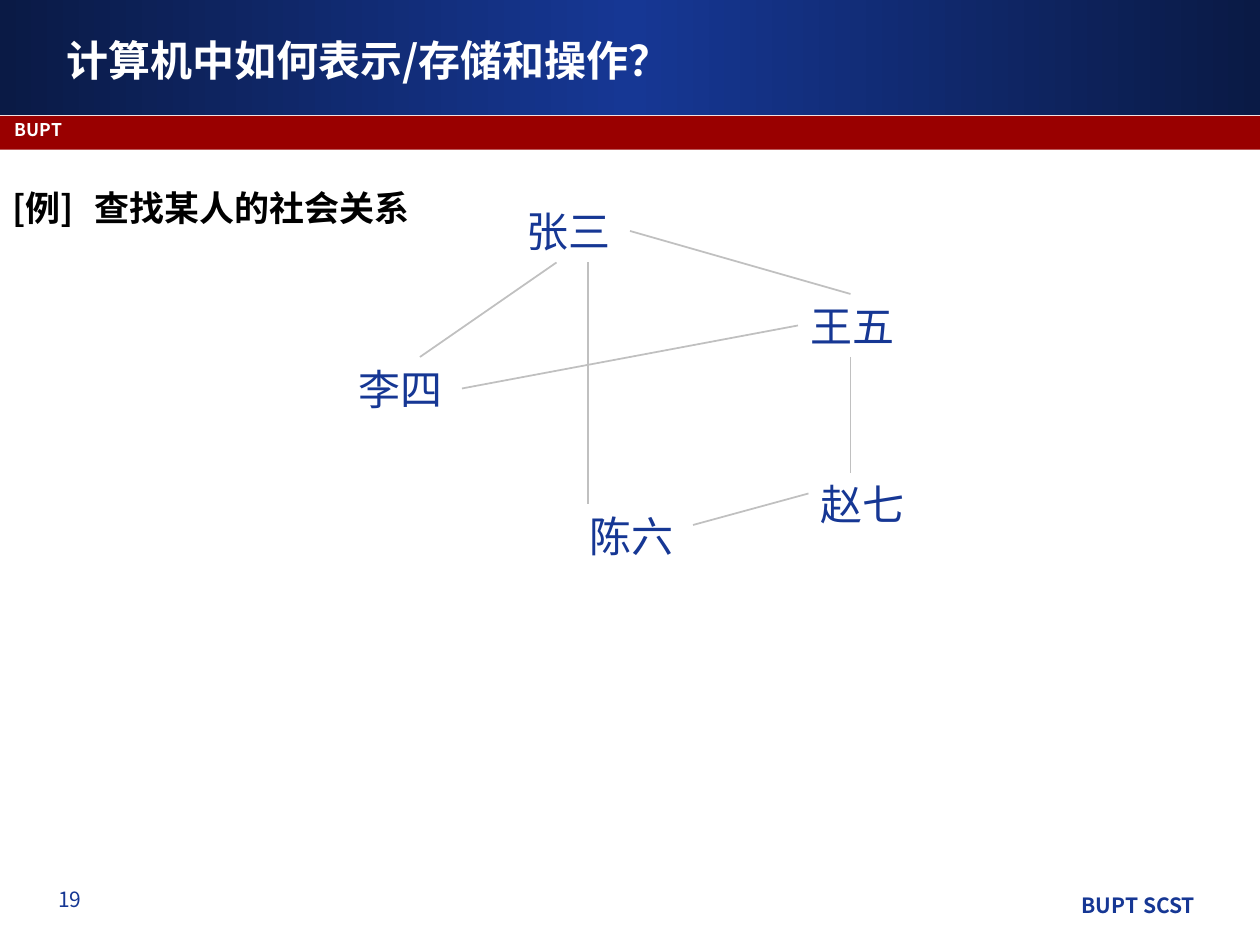
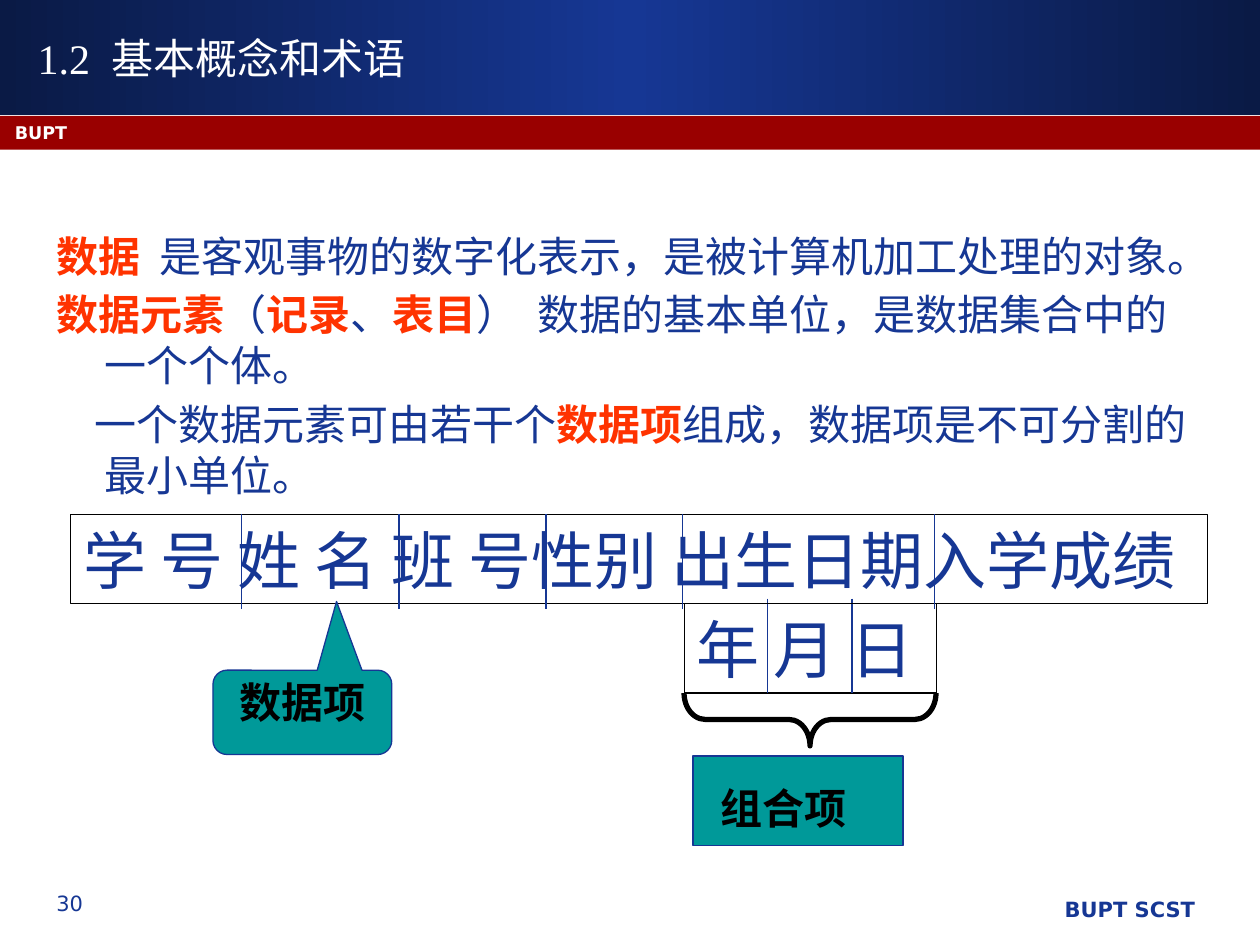
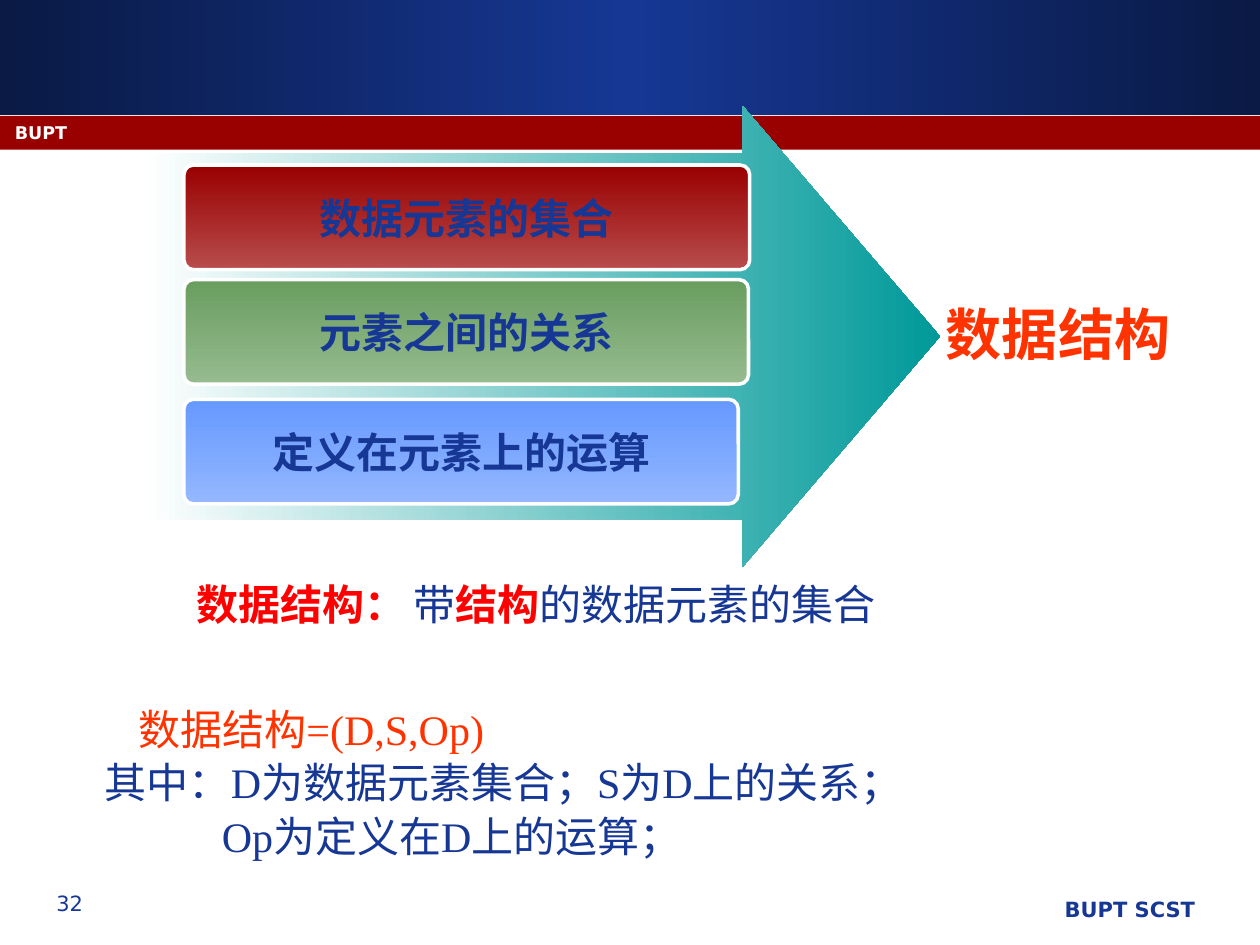
from dataclasses import dataclass

from lxml import etree
from pptx import Presentation
from pptx.dml.color import RGBColor
from pptx.enum.shapes import MSO_CONNECTOR, MSO_SHAPE
from pptx.enum.text import MSO_ANCHOR, PP_ALIGN
from pptx.oxml.ns import qn
from pptx.util import Pt

RECTANGLE = MSO_SHAPE.RECTANGLE
ROUNDED = MSO_SHAPE.ROUNDED_RECTANGLE
CALLOUT = MSO_SHAPE.ROUNDED_RECTANGULAR_CALLOUT
BRACE = MSO_SHAPE.LEFT_BRACE
ARROW = MSO_SHAPE.RIGHT_ARROW
STRAIGHT = MSO_CONNECTOR.STRAIGHT
TOP, MIDDLE = MSO_ANCHOR.TOP, MSO_ANCHOR.MIDDLE
LEFT, CENTER, RIGHT = PP_ALIGN.LEFT, PP_ALIGN.CENTER, PP_ALIGN.RIGHT


@dataclass(frozen=True)
class Theme:
    navy: str = "163794"
    dark_navy: str = "0A1A45"
    band_red: str = "990000"
    teal: str = "009999"
    orange: str = "FF3300"
    red: str = "FF0000"
    white: str = "FFFFFF"
    black: str = "000000"
    gray: str = "C0C0C0"
    sans: str = "Noto Sans CJK SC"
    serif: str = "Times New Roman"
    footer: str = "DejaVu Sans"
    body: int = 24
    heading: int = 20
    record: int = 36
    result: int = 32
    small: int = 12
    tiny: int = 10


THEME = Theme()


@dataclass(frozen=True)
class Span:
    text: str
    color: str = THEME.navy
    bold: bool = False
    spacing: float = 0


def key(text, color=THEME.orange):
    return Span(text, color, True)


def gap(width):
    return Span(" ", spacing=width)


def set_font(font, size, name):
    font.size = Pt(size)
    font.name = name
    etree.SubElement(font._element, qn("a:ea"), typeface=THEME.sans)


def set_color(font, color, bold):
    font.color.rgb = RGBColor.from_string(color)
    font.bold = bold


def add_spans(para, spans):
    for part in spans:
        span = para.add_run()
        span.text = part.text
        set_color(span.font, part.color, part.bold)
        if part.spacing:
            span.font._element.set("spc", str(round(part.spacing * 100)))


def style_para(para, size, font, align=LEFT, line=None, before=None, indent=0, first=0):
    properties = para._p.get_or_add_pPr()
    properties.set("marL", str(Pt(indent)))
    properties.set("indent", str(Pt(first)))
    para.alignment = align
    if line is not None:
        para.line_spacing = line
    if before is not None:
        para.space_before = Pt(before)
    set_font(para.font, size, font)


def prepare_frame(holder, anchor, top=3.6, left=7.2):
    frame = holder.text_frame
    frame.word_wrap = True
    frame.vertical_anchor = anchor
    frame.margin_top, frame.margin_bottom = Pt(top), Pt(3.6)
    frame.margin_left, frame.margin_right = Pt(left), Pt(7.2)
    return frame


def write(holder, content, size=THEME.body, font=THEME.sans, color=THEME.navy,
          bold=False, align=LEFT, anchor=MIDDLE, line=None, top=3.6, left=7.2):
    para = prepare_frame(holder, anchor, top, left).paragraphs[0]
    style_para(para, size, font, align, line)
    if isinstance(content, str):
        set_color(para.font, color, bold)
        para.add_run().text = content
    else:
        add_spans(para, content)


def add_box(page, box):
    return page.shapes.add_textbox(*map(Pt, box))


def add_figure(page, kind, box, fill=None, line=None, width=0.75, adjust=()):
    figure = page.shapes.add_shape(kind, *map(Pt, box))
    figure.shadow.inherit = False
    for index, value in enumerate(adjust):
        figure.adjustments[index] = value
    if fill:
        figure.fill.solid()
        figure.fill.fore_color.rgb = RGBColor.from_string(fill)
    else:
        figure.fill.background()
    if line:
        figure.line.color.rgb = RGBColor.from_string(line)
        figure.line.width = Pt(width)
    else:
        figure.line.fill.background()
    return figure


def set_gradient(figure, colors, angle=0):
    figure.fill.gradient()
    figure.fill.gradient_angle = angle
    stops = figure._element.spPr.find(".//" + qn("a:gsLst"))
    stops.clear()
    for index, color in enumerate(colors):
        position = 100000 * index // (len(colors) - 1)
        stop = etree.SubElement(stops, qn("a:gs"), pos=str(position))
        etree.SubElement(stop, qn("a:srgbClr"), val=color)


def add_line(page, start, end, color, width=0.75):
    line = page.shapes.add_connector(STRAIGHT, *map(Pt, (*start, *end)))
    line.line.color.rgb = RGBColor.from_string(color)
    line.line.width = Pt(width)
    etree.SubElement(line._element.spPr, qn("a:effectLst"))


def add_page(deck, number, font=THEME.footer, line=None):
    page = deck.slides.add_slide(deck.slide_layouts[6])
    band = add_figure(page, RECTANGLE, (0, 0, 720, 65.5), THEME.navy)
    set_gradient(band, (THEME.dark_navy, THEME.navy, THEME.dark_navy))
    add_figure(page, RECTANGLE, (0, 66.2, 720, 19.4), THEME.band_red)
    labels = (
        ((303, 509, 387, 25), "BUPT SCST", THEME.small, THEME.navy, True, RIGHT),
        ((8.6, 505.4, 62.6, 25), number, THEME.small, THEME.navy, False, CENTER),
        ((1.4, 66.2, 666, 18), "BUPT", THEME.tiny, THEME.white, True, LEFT),
    )
    for box, text, size, color, bold, align in labels:
        write(add_box(page, box), text, size, font, color, bold, align, TOP, line)
    return page


def draw_people(page, box):
    left, top = box
    people = (("张三", 96, 0), ("李四", 0, 90), ("王五", 258, 54),
              ("陈六", 132, 174), ("赵七", 264, 156))
    links = (((120, 36), (42, 90)), ((138, 36), (138, 174)),
             ((66, 108), (258, 72)), ((162, 18), (288, 54)),
             ((288, 90), (288, 156)), ((198, 186), (264, 168)))
    for name, x, y in people:
        node = add_figure(page, RECTANGLE, (left + x, top + y, 66, 36), THEME.white)
        write(node, name)
    for (x1, y1), (x2, y2) in links:
        add_line(page, (left + x1, top + y1), (left + x2, top + y2), THEME.gray, 1)


def build_relations(deck):
    page = add_page(deck, "19", THEME.sans, 0.85)
    write(add_box(page, (0, 82.8, 612, 72)),
          (key("[例]", THEME.black), gap(7), key("查找某人的社会关系", THEME.black)),
          THEME.heading)
    write(add_box(page, (31, 19.4, 648, 51.8)), "计算机中如何表示/存储和操作？",
          color=THEME.white, bold=True, anchor=TOP, line=0.9)
    draw_people(page, (198, 114))


def draw_definitions(page, box):
    frame = prepare_frame(add_box(page, box), TOP, 5.4)
    entries = (
        (-27.4, (key("数据"), gap(5.4),
                 Span("是客观事物的数字化表示，是被计算机加工处理的对象。"))),
        (-27.4, (key("数据元素"), Span("（"), key("记录"), Span("、"), key("表目"),
                 Span("）"), gap(5.4), Span("数据的基本单位，是数据集合中的一个个体。"))),
        (-5.5, (Span("一个数据元素可由若干个"), key("数据项"),
                Span("组成，数据项是不可分割的最小单位。"))),
    )
    for index, (first, spans) in enumerate(entries):
        para = frame.add_paragraph() if index else frame.paragraphs[0]
        style_para(para, THEME.body, THEME.sans, line=Pt(29),
                   before=4.5 if index else 0, indent=27.4, first=first)
        add_spans(para, spans)


def draw_record(page, box, text, font, dividers, offset):
    left, top, width, height = box
    outline = add_figure(page, RECTANGLE, box, line=THEME.black)
    write(outline, text, THEME.record, font)
    for x in dividers:
        add_line(page, (left + x, top + offset), (left + x, top + offset + 54), THEME.navy)


def draw_item_labels(page, box):
    left, top = box
    item = add_figure(page, CALLOUT, (left, top, 102.2, 48.2), THEME.teal, THEME.navy,
                      adjust=(0.191, -1.315, 0.167))
    write(item, "数据项", color=THEME.black, bold=True, align=CENTER, anchor=TOP, top=1)
    brace = add_figure(page, BRACE, (left + 326.1, top - 43.9, 30.2, 144),
                       line=THEME.black, width=3, adjust=(0.4, 0.5))
    brace.rotation = 270
    group = add_figure(page, RECTANGLE, (left + 274.3, top + 49, 120, 51),
                       THEME.teal, THEME.navy)
    write(group, "组合项", color=THEME.black, bold=True, top=11.6, left=16)


def build_concepts(deck):
    page = add_page(deck, "30")
    write(add_box(page, (14.4, 15.1, 612, 36)),
          (Span("1.2", THEME.white), gap(6), Span("基本概念和术语", THEME.white)),
          font=THEME.serif)
    draw_definitions(page, (25.2, 126, 669, 354))
    draw_record(page, (391, 345, 144, 51), "年 月 日", THEME.serif, (47.6, 95.8), -3)
    draw_record(page, (40.4, 294, 649.6, 51), "学 号 姓 名 班 号性别 出生日期入学成绩",
                THEME.sans, (97.6, 187.6, 271.6, 349.6, 493.6), 0)
    draw_item_labels(page, (121.7, 383))


def draw_formula(page, box):
    frame = prepare_frame(add_box(page, box), TOP, 44)
    entries = (
        ("数据结构=(D,S,Op)", THEME.orange, 36),
        ("其中：D为数据元素集合；S为D上的关系；", THEME.navy, 16.8),
        ("Op为定义在D上的运算；", THEME.navy, 83.7),
    )
    for index, (text, color, indent) in enumerate(entries):
        para = frame.add_paragraph() if index else frame.paragraphs[0]
        style_para(para, THEME.body, THEME.serif, line=Pt(26),
                   before=4.5 if index else 0, indent=indent)
        set_color(para.font, color, False)
        para.add_run().text = text


def draw_components(page, box):
    left, top = box
    arrow = add_figure(page, ARROW, (left, top, 455, 263.5), THEME.teal,
                       adjust=(0.793, 0.428))
    set_gradient(arrow, (THEME.white, THEME.teal))
    parts = (
        ("数据元素的集合", 33.8, 323.3, (THEME.band_red, "B84C4C")),
        ("元素之间的关系", 99.3, 322.6, ("699D5F", "96BB8F")),
        ("定义在元素上的运算", 167.7, 316.8, ("6699FF", "94B7FF")),
    )
    for text, y, width, colors in parts:
        bar = add_figure(page, ROUNDED, (left + 23, top + y, width, 59.8), colors[0],
                         THEME.white, 2, (0.091,))
        set_gradient(bar, colors, 270)
        write(bar, text, bold=True, align=CENTER)
    result = add_figure(page, ROUNDED, (left + 449.3, top + 90.7, 157.7, 78.5),
                        adjust=(0.091,))
    write(result, "数据结构", THEME.result, color=THEME.orange, bold=True)


def build_structure(deck):
    page = add_page(deck, "32")
    draw_formula(page, (36, 360.7, 648, 143.3))
    draw_components(page, (82.1, 60.5))
    write(add_box(page, (105.1, 326.9, 135.4, 36)), "数据结构：",
          color=THEME.red, bold=True)
    write(add_box(page, (229, 326.9, 280.8, 36)),
          (Span("带"), key("结构", THEME.red), Span("的数据元素的集合")))


def main():
    deck = Presentation()
    deck.slide_width, deck.slide_height = Pt(720), Pt(540)
    build_relations(deck)
    build_concepts(deck)
    build_structure(deck)
    deck.save("out.pptx")


if __name__ == "__main__":
    main()
